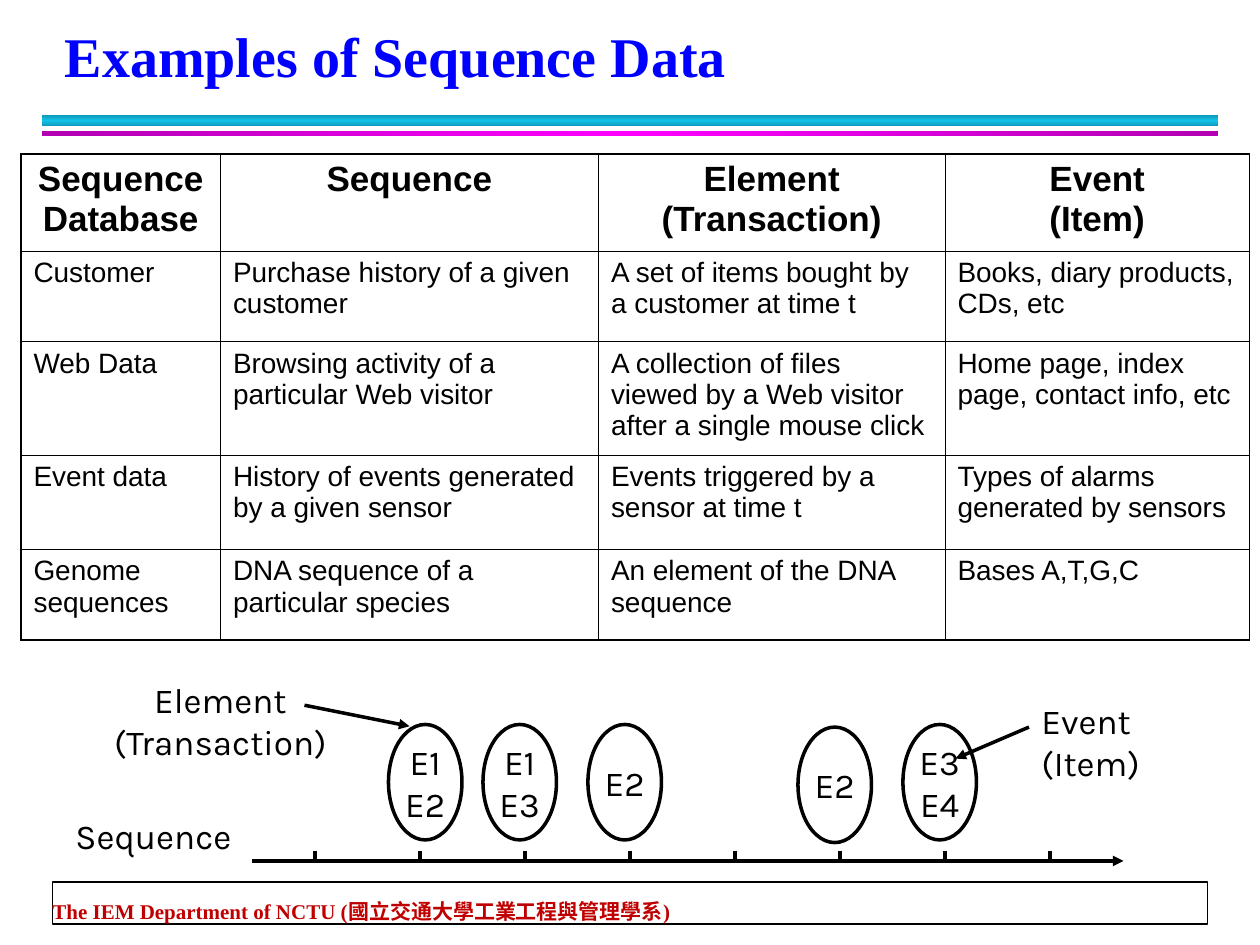
from copy import deepcopy
from dataclasses import dataclass

from lxml import etree
from pptx import Presentation
from pptx.dml.color import RGBColor
from pptx.enum import shapes, text
from pptx.oxml.ns import qn
from pptx.util import Pt


@dataclass(frozen=True)
class Theme:
    title_color: str = "0000FF"
    footer_color: str = "C00000"
    ink: str = "000000"
    paper: str = "FFFFFF"
    cyan: tuple = ("0E9BBA", "12C2E9")
    magenta: tuple = ("B200B2", "FF00FF")
    serif: str = "Times New Roman"
    table_font: str = "Arial"
    diagram_font: str = "Karla"
    title_size: float = 32
    heading_size: float = 20
    body_size: float = 16
    footer_size: float = 12
    line_width: float = 2
    outer_border: float = 1.08
    inner_border: float = 0.45


@dataclass(frozen=True)
class Box:
    left: float
    top: float
    width: float
    height: float

    def area(self, left, top, width, height):
        return Box(self.left + left, self.top + top, width, height)

    def lengths(self):
        return [Pt(value) for value in (self.left, self.top, self.width, self.height)]


THEME = Theme()
LEFT, CENTER = text.PP_ALIGN.LEFT, text.PP_ALIGN.CENTER
TOP, MIDDLE, BOTTOM = text.MSO_ANCHOR.TOP, text.MSO_ANCHOR.MIDDLE, text.MSO_ANCHOR.BOTTOM

TABLE_ROWS = [
    ("Sequence Database", "Sequence", "Element (Transaction)", "Event\v(Item)"),
    ("Customer", "Purchase history of a given customer",
     "A set of items bought by a customer at time t", "Books, diary products, CDs, etc"),
    ("Web Data", "Browsing activity of a particular Web visitor",
     "A collection of files viewed by a Web visitor after a single mouse click",
     "Home page, index page, contact info, etc"),
    ("Event data", "History of events generated by a given sensor",
     "Events triggered by a sensor at time t", "Types of alarms generated by sensors"),
    ("Genome sequences", "DNA sequence of a particular species",
     "An element of the DNA sequence", "Bases A,T,G,C"),
]
COLUMN_WIDTHS = (114, 216, 198, 174)
ROW_HEIGHTS = (55.5, 51.75, 64.75, 54, 51.75)


def write(frame, words, font, size, color=THEME.ink, bold=False, align=LEFT, spacing=None):
    frame.text = words
    for paragraph in frame.paragraphs:
        paragraph.alignment = align
        if spacing:
            paragraph.line_spacing = Pt(spacing)
        for run in paragraph.runs:
            run.font.name = font
            run.font.size = Pt(size)
            run.font.bold = bold
            run.font.color.rgb = RGBColor.from_string(color)


def add_label(slide, box, words, font, size, anchor=TOP, margin=True, **style):
    frame = slide.shapes.add_textbox(*box.lengths()).text_frame
    frame.word_wrap = True
    frame.vertical_anchor = anchor
    if not margin:
        frame.margin_left = frame.margin_right = frame.margin_top = frame.margin_bottom = 0
    write(frame, words, font, size, **style)


def add_plain_shape(slide, kind, box):
    shape = slide.shapes.add_shape(kind, *box.lengths())
    shape.shadow.inherit = False
    return shape


def set_outline(shape, width):
    shape.line.color.rgb = RGBColor.from_string(THEME.ink)
    shape.line.width = Pt(width)


def add_line(slide, start, end, arrow=False):
    line = slide.shapes.add_connector(
        shapes.MSO_CONNECTOR.STRAIGHT, *[Pt(value) for value in (*start, *end)])
    set_outline(line, THEME.line_width)
    properties = line._element.spPr
    if arrow:
        etree.SubElement(properties.get_or_add_ln(), qn("a:tailEnd"), type="triangle")
    etree.SubElement(properties, qn("a:effectLst"))


def add_gradient_bar(slide, box, colors, angle):
    """Draw a bar whose middle is bright and whose two edges are dark."""
    bar = add_plain_shape(slide, shapes.MSO_SHAPE.RECTANGLE, box)
    bar.line.fill.background()
    bar.fill.gradient()
    bar.fill.gradient_angle = angle
    for stop, color, position in zip(bar.fill.gradient_stops, colors, (0, 0.5)):
        stop.color.rgb = RGBColor.from_string(color)
        stop.position = position
    stop_list = bar._element.spPr.find(".//" + qn("a:gsLst"))
    last_stop = deepcopy(stop_list[0])
    last_stop.set("pos", "100000")
    stop_list.append(last_stop)


def add_header(slide, box):
    add_label(slide, box.area(6, 0, 652, 42), "Examples of Sequence Data",
              THEME.serif, THEME.title_size, anchor=BOTTOM,
              color=THEME.title_color, bold=True, spacing=36)
    add_gradient_bar(slide, box.area(0, 54, box.width, 6), THEME.cyan, 90)
    add_gradient_bar(slide, box.area(0, 63, box.width, 3), THEME.magenta, 0)


def add_footer(slide, box):
    frame = add_plain_shape(slide, shapes.MSO_SHAPE.RECTANGLE, box)
    frame.fill.solid()
    frame.fill.fore_color.rgb = RGBColor.from_string(THEME.paper)
    set_outline(frame, 1)
    add_label(slide, box.area(0, 4, box.width, 20),
              "The IEM Department of NCTU (國立交通大學工業工程與管理學系)",
              THEME.serif, THEME.footer_size, anchor=BOTTOM, margin=False,
              color=THEME.footer_color, bold=True, spacing=20)


def set_borders(cell, outer_sides):
    """Give the cell four borders, heavier where it meets the table's edge."""
    properties = cell._tc.get_or_add_tcPr()
    for side, is_outer in zip(("lnL", "lnR", "lnT", "lnB"), outer_sides):
        width = THEME.outer_border if is_outer else THEME.inner_border
        border = etree.SubElement(properties, qn(f"a:{side}"), w=str(int(Pt(width))))
        fill = etree.SubElement(border, qn("a:solidFill"))
        etree.SubElement(fill, qn("a:srgbClr"), val=THEME.ink)


def add_examples_table(slide, box):
    last_row, last_column = len(ROW_HEIGHTS) - 1, len(COLUMN_WIDTHS) - 1
    table = slide.shapes.add_table(last_row + 1, last_column + 1, *box.lengths()).table
    table.first_row = table.horz_banding = False
    for column, width in zip(table.columns, COLUMN_WIDTHS):
        column.width = Pt(width)
    for r, (height, entries) in enumerate(zip(ROW_HEIGHTS, TABLE_ROWS)):
        table.rows[r].height = Pt(height)
        heading = r == 0
        for c, words in enumerate(entries):
            cell = table.cell(r, c)
            set_borders(cell, (c == 0, c == last_column, heading, r == last_row))
            cell.fill.background()
            write(cell.text_frame, words, THEME.table_font,
                  THEME.heading_size if heading else THEME.body_size,
                  bold=heading, align=CENTER if heading else LEFT)


def add_element_oval(slide, box, events):
    oval = add_plain_shape(slide, shapes.MSO_SHAPE.OVAL, box)
    oval.fill.background()
    set_outline(oval, THEME.line_width)
    oval.text_frame.word_wrap = False
    oval.text_frame.vertical_anchor = MIDDLE
    write(oval.text_frame, events, THEME.diagram_font, THEME.heading_size, align=CENTER)


def add_sequence_diagram(slide, box):
    def point(x, y):
        return box.left + x, box.top + y

    axis_y = box.height
    add_line(slide, point(108, axis_y), point(606, axis_y), arrow=True)
    for i in range(8):
        x = 144 + 60 * i
        add_line(slide, point(x, axis_y - 6), point(x, axis_y))

    for x, y, events in ((186, 30, "E1\vE2"), (240, 30, "E1\vE3"), (300, 30, "E2"),
                         (420, 31.5, "E2"), (480, 30, "E3\vE4")):
        add_element_oval(slide, box.area(x, y, 42, 66), events)

    for place, words, align in (((0, 78, 120, 32), "Sequence", LEFT),
                                ((18, 0, 144, 55.5), "Element (Transaction)", CENTER),
                                ((552, 12, 78, 55.5), "Event\v(Item)", LEFT)):
        add_label(slide, box.area(*place), words, THEME.diagram_font,
                  THEME.heading_size, align=align)
    add_line(slide, point(138, 19), point(198, 31), arrow=True)
    add_line(slide, point(552, 31.5), point(510, 49.5), arrow=True)


def main():
    presentation = Presentation()
    presentation.slide_width, presentation.slide_height = Pt(720), Pt(540)
    slide = presentation.slides.add_slide(presentation.slide_layouts[6])
    add_header(slide, Box(24, 12, 672, 66))
    add_footer(slide, Box(30, 504, 660, 24))
    add_examples_table(slide, Box(12, 88, sum(COLUMN_WIDTHS), sum(ROW_HEIGHTS)))
    add_sequence_diagram(slide, Box(36, 384, 630, 108))
    presentation.save("out.pptx")


if __name__ == "__main__":
    main()
